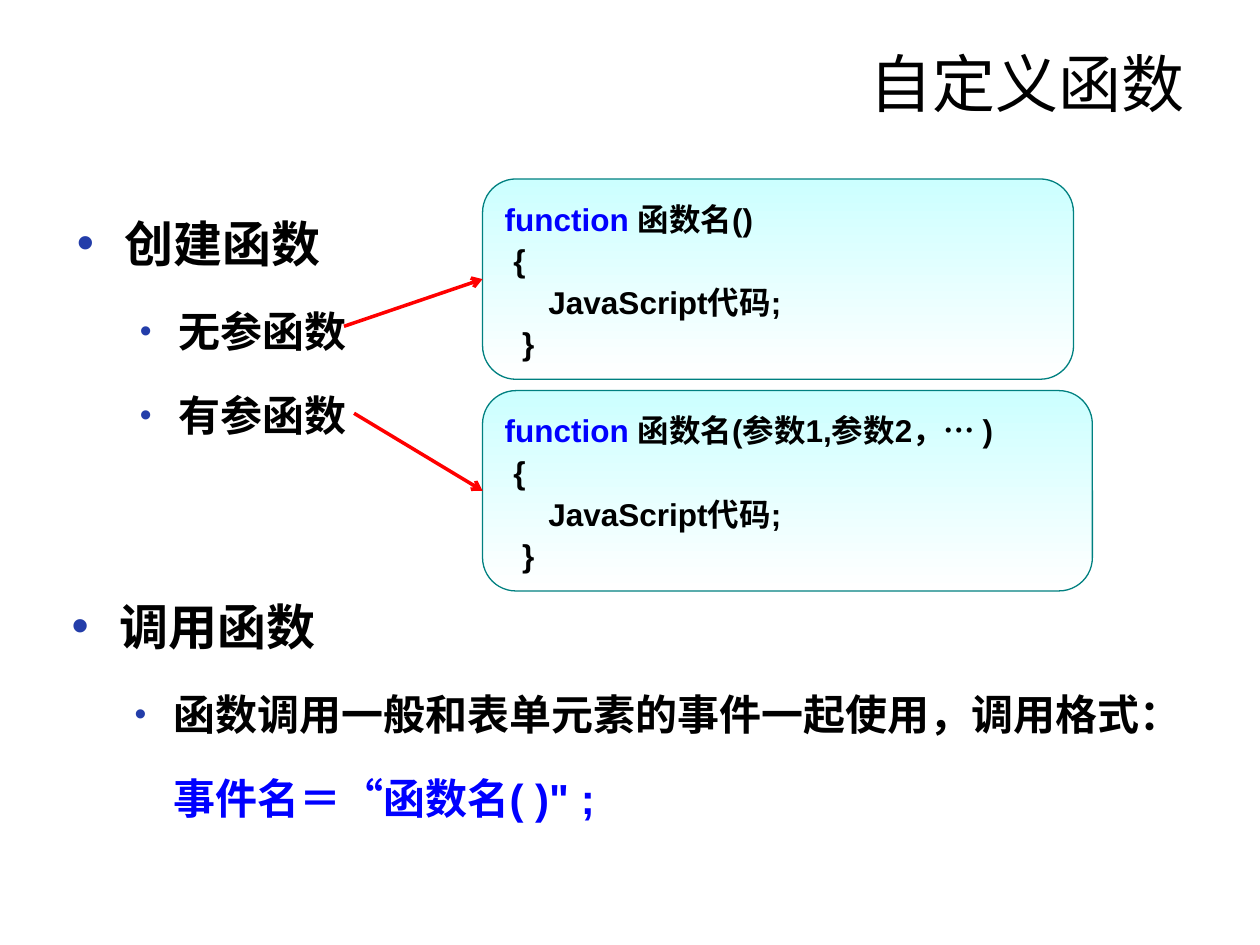
from dataclasses import dataclass

from lxml.etree import SubElement
from pptx import Presentation
from pptx.dml.color import RGBColor
from pptx.enum.shapes import MSO_CONNECTOR as Connector, MSO_SHAPE as Shape
from pptx.enum.text import MSO_ANCHOR as Anchor, MSO_AUTO_SIZE as AutoSize, PP_ALIGN as Align
from pptx.oxml.ns import qn
from pptx.util import Inches, Pt


@dataclass(frozen=True)
class Theme:
    font: str = "Arial"
    text: str = "000000"
    keyword: str = "0000FF"
    bullet: str = "233DA9"
    arrow: str = "FF0000"
    border: str = "008080"
    box_top: str = "CCFFFF"
    box_bottom: str = "FFFFFF"
    title_size: int = 36
    list_sizes: tuple = (28, 24)
    code_size: int = 18


THEME = Theme()
LIST_INDENTS = ((0.38, -0.38), (0.81, -0.31))
BULLET_SCALES = (100, 80)


def rgb(value):
    return RGBColor.from_string(value)


def place(shape, box):
    shape.left, shape.top, shape.width, shape.height = map(Inches, box)


def add_span(para, text, *, size, color=THEME.text, bold=True):
    span = para.add_run()
    span.text = text
    span.font.name = THEME.font
    span.font.size = Pt(size)
    span.font.bold = bold
    span.font.color.rgb = rgb(color)


def next_para(frame, index):
    return frame.paragraphs[0] if index == 0 else frame.add_paragraph()


def set_bullet(para, level, shown):
    props = para._p.get_or_add_pPr()
    margin, indent = LIST_INDENTS[level]
    props.set("marL", str(Inches(margin)))
    props.set("indent", str(Inches(indent if shown else 0)))
    if not shown:
        SubElement(props, qn("a:buNone"))
        return
    SubElement(SubElement(props, qn("a:buClr")), qn("a:srgbClr"), val=THEME.bullet)
    SubElement(props, qn("a:buSzPct"), val=str(BULLET_SCALES[level] * 1000))
    SubElement(props, qn("a:buFont"), typeface=THEME.font)
    SubElement(props, qn("a:buChar"), char="•")


def fill_title(title, box, text):
    place(title, box)
    frame = title.text_frame
    frame.vertical_anchor = Anchor.TOP
    frame.auto_size = AutoSize.NONE
    para = frame.paragraphs[0]
    para.alignment = Align.RIGHT
    add_span(para, text, size=THEME.title_size, bold=False)


def fill_list(shape, box, items):
    """Write (level, text, has bullet, colour) items as a bulleted list."""
    place(shape, box)
    frame = shape.text_frame
    frame.word_wrap = True
    frame.auto_size = AutoSize.NONE
    frame.vertical_anchor = Anchor.TOP
    for index, (level, text, bulleted, color) in enumerate(items):
        para = next_para(frame, index)
        size = THEME.list_sizes[level]
        para.level = level
        set_bullet(para, level, bulleted)
        para.line_spacing = 1.5
        para.space_before = Pt(size * 0.2 if index else 0)
        add_span(para, text, size=size, color=color)


def add_code_box(page, box, signature):
    shape = page.shapes.add_shape(Shape.ROUNDED_RECTANGLE, *map(Inches, box))
    shape.shadow.inherit = False
    shape.fill.gradient()
    shape.fill.gradient_angle = 270
    for stop, color in zip(shape.fill.gradient_stops, (THEME.box_top, THEME.box_bottom)):
        stop.color.rgb = rgb(color)
    shape.line.color.rgb = rgb(THEME.border)
    shape.line.width = Pt(0.75)

    frame = shape.text_frame
    frame.word_wrap = True
    frame.vertical_anchor = Anchor.MIDDLE
    lines = (
        (("function ", THEME.keyword), (signature, THEME.text)),
        ((" {", THEME.text),),
        (("     JavaScript代码;", THEME.text),),
        (("  }", THEME.text),),
    )
    for index, spans in enumerate(lines):
        para = next_para(frame, index)
        para.alignment = Align.LEFT
        para.line_spacing = 1.1
        for text, color in spans:
            add_span(para, text, size=THEME.code_size, color=color)
    return shape


def add_arrow(page, start, target):
    """Draw an arrow from a point to the left side of the target."""
    x, y = map(Inches, start)
    arrow = page.shapes.add_connector(
        Connector.STRAIGHT, x, y, target.left, target.top + target.height // 2)
    arrow.end_connect(target, 1)
    arrow.line.color.rgb = rgb(THEME.arrow)
    arrow.line.width = Pt(2)
    SubElement(arrow.line._get_or_add_ln(), qn("a:tailEnd"), type="arrow")
    SubElement(arrow._element.spPr, qn("a:effectLst"))


def build_function_slide(deck):
    page = deck.slides.add_slide(deck.slide_layouts[1])
    fill_title(page.shapes.title, (0.5, 0.3, 9, 1.25), "自定义函数")
    fill_list(page.placeholders[1], (0.51, 1.41, 6.2, 2.27), (
        (0, "创建函数", True, THEME.text),
        (1, "无参函数", True, THEME.text),
        (1, "有参函数", True, THEME.text),
    ))

    examples = (
        ((3.83, 1.42, 4.69, 1.59), "函数名()", (2.73, 2.59)),
        ((3.83, 3.1, 4.84, 1.59), "函数名(参数1,参数2，… )", (2.81, 3.28)),
    )
    for box, signature, arrow_start in examples:
        add_arrow(page, arrow_start, add_code_box(page, box, signature))

    call_box = (0.47, 4.45, 9.17, 2.42)
    fill_list(page.shapes.add_textbox(*map(Inches, call_box)), call_box, (
        (0, "调用函数", True, THEME.text),
        (1, "函数调用一般和表单元素的事件一起使用，调用格式：", True, THEME.text),
        (1, "事件名＝“函数名( )\" ;", False, THEME.keyword),
    ))


def main():
    deck = Presentation()
    deck.slide_width, deck.slide_height = Inches(10), Inches(7.5)
    build_function_slide(deck)
    deck.save("out.pptx")


if __name__ == "__main__":
    main()
